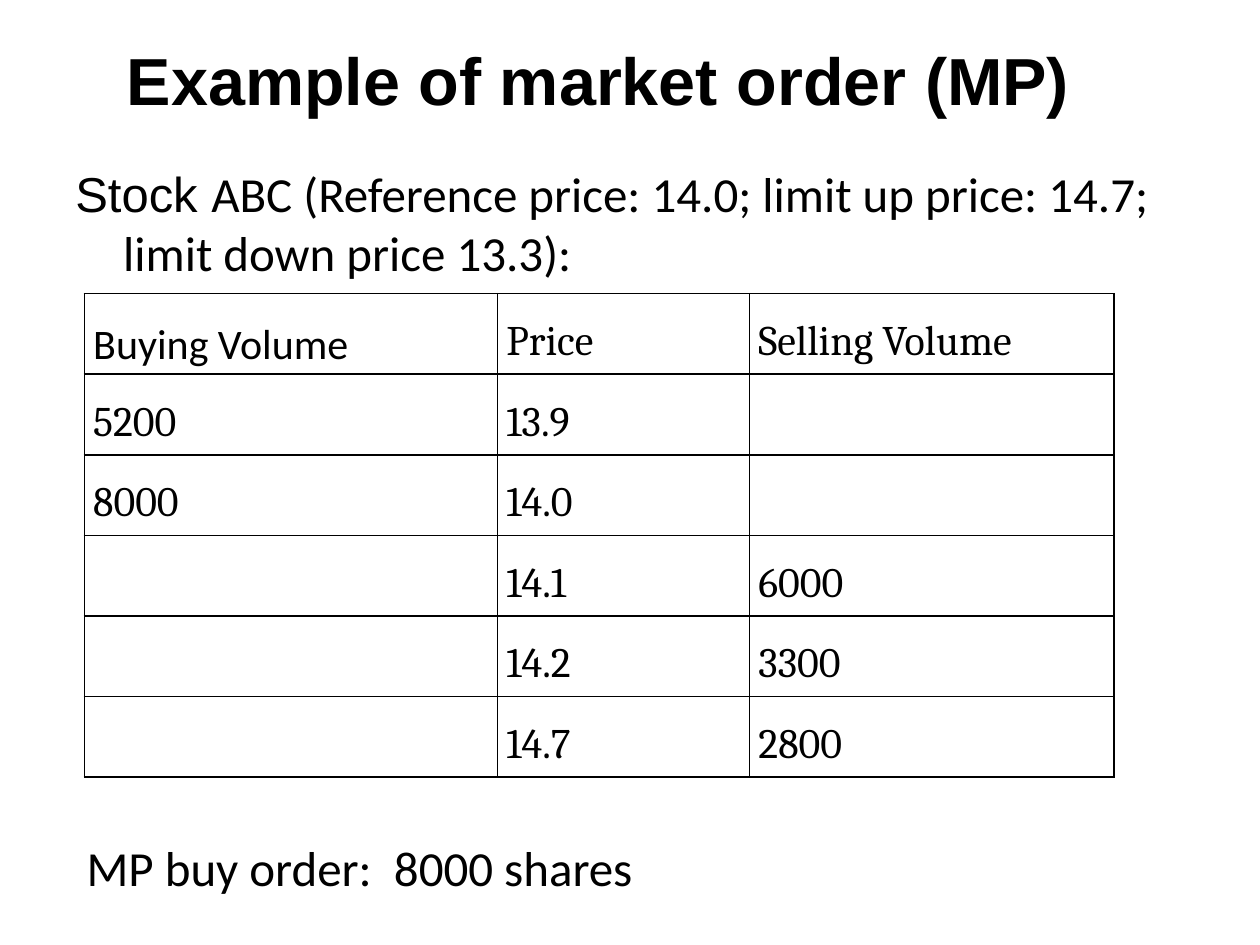
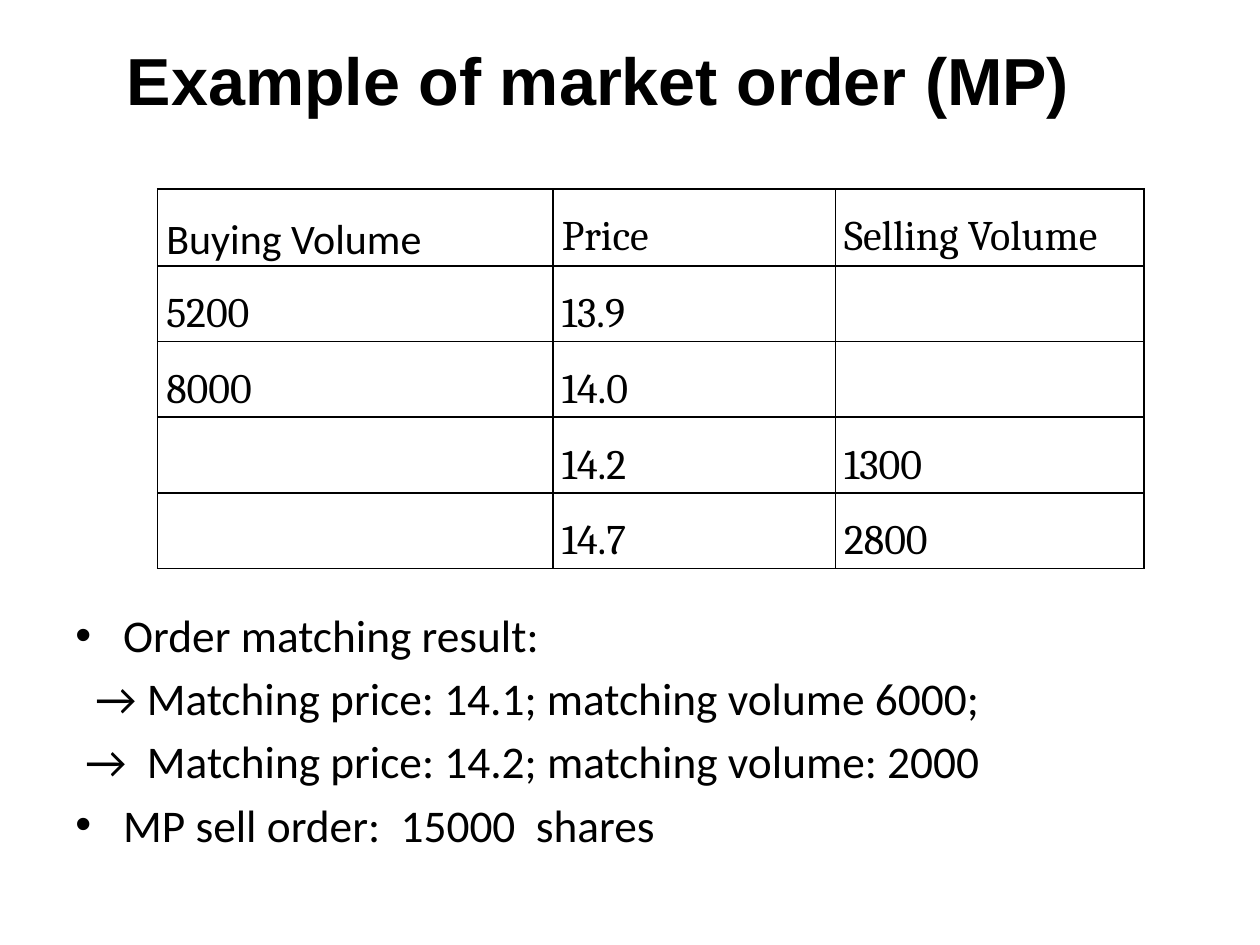
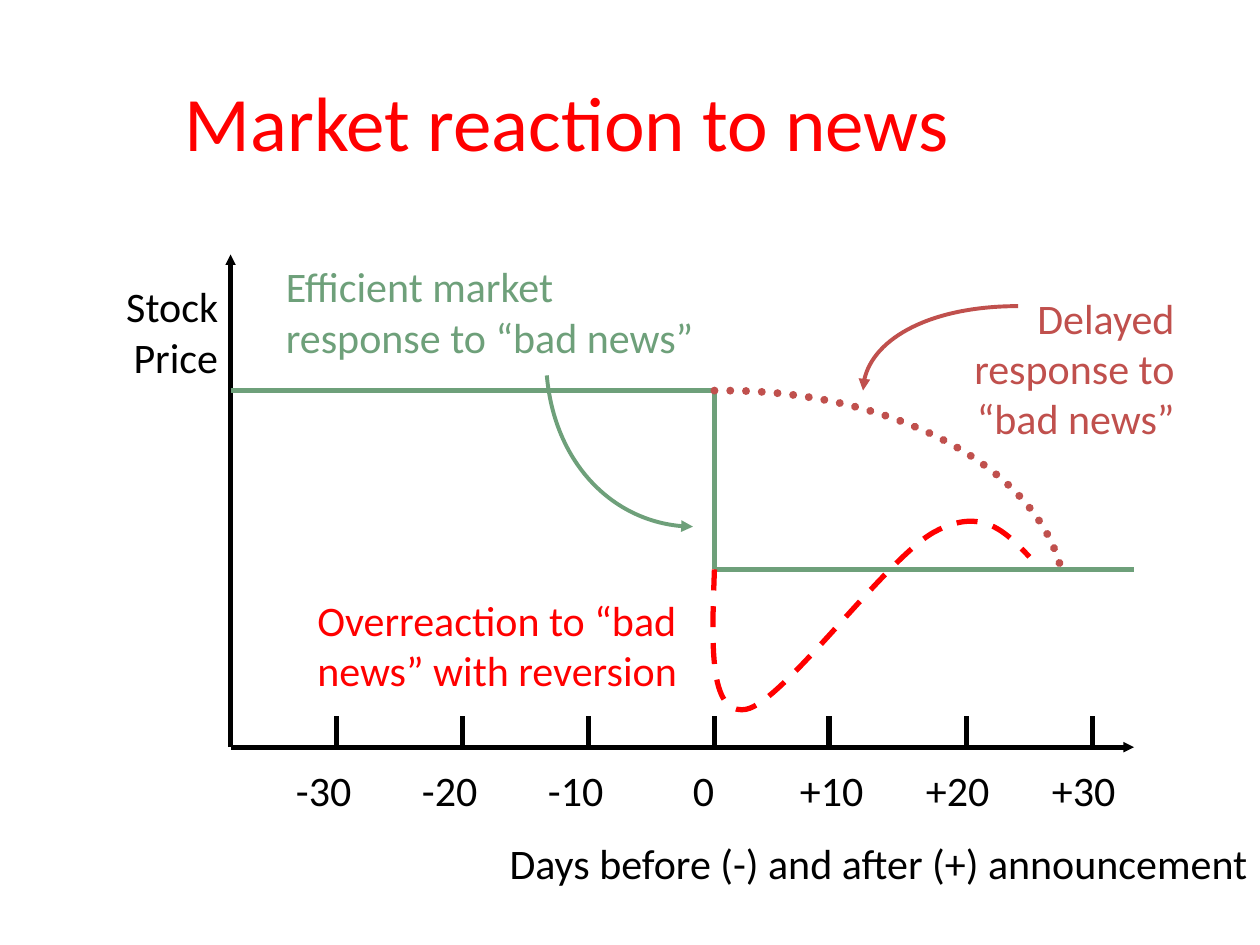
from collections import namedtuple

from lxml.etree import SubElement
from pptx import Presentation
from pptx.dml.color import RGBColor
from pptx.enum.dml import MSO_LINE
from pptx.enum.shapes import MSO_CONNECTOR
from pptx.enum.text import MSO_ANCHOR, PP_ALIGN
from pptx.oxml.ns import qn
from pptx.util import Inches, Pt

Box = namedtuple("Box", "left top width height")

BLACK = "000000"
RED = "FF0000"
GREEN = "6EA07A"
BRICK = "C0504D"
BODY_FONT = "Calibri"
TITLE_FONT = "Arial"
TABLE_FONT = "Cambria"
HANGING = 0.38
ORDER_TITLE_BOX = Box(0, 0, 9.5, 1.25)
HEADINGS = ("Buying Volume", "Price", "Selling Volume")


def color_of(hex_string):
    return RGBColor.from_string(hex_string)


def apply_format(target, values):
    for name, value in values.items():
        setattr(target, name, value)


def add_run(paragraph, text, size, color=BLACK, font=BODY_FONT, bold=False):
    run = paragraph.add_run()
    run.text = text
    apply_format(run.font, {"name": font, "size": Pt(size), "bold": bold})
    run.font.color.rgb = color_of(color)


def add_text_frame(slide, box, anchor=MSO_ANCHOR.TOP):
    frame = slide.shapes.add_textbox(*map(Inches, box)).text_frame
    apply_format(frame, {"word_wrap": True, "vertical_anchor": anchor})
    return frame


def add_label(slide, box, text, size=24, color=BLACK, align=PP_ALIGN.LEFT,
              anchor=MSO_ANCHOR.TOP, **font_values):
    paragraph = add_text_frame(slide, box, anchor).paragraphs[0]
    paragraph.alignment = align
    add_run(paragraph, text, size, color, **font_values)
    return paragraph


def add_title(slide, box, text, **font_values):
    add_label(slide, box, text, align=PP_ALIGN.CENTER, anchor=MSO_ANCHOR.MIDDLE, **font_values)


def add_order_title(slide):
    add_title(slide, ORDER_TITLE_BOX, "Example of market order (MP)",
              size=38, font=TITLE_FONT, bold=True)


def set_indent(paragraph, first_line=-HANGING, bullet=None):
    properties = paragraph._p.get_or_add_pPr()
    properties.set("marL", str(Inches(HANGING)))
    properties.set("indent", str(Inches(first_line)))
    if bullet:
        SubElement(properties, qn("a:buFont")).set("typeface", TITLE_FONT)
        SubElement(properties, qn("a:buChar")).set("char", bullet)


def add_cell_borders(cell):
    properties = cell._tc.get_or_add_tcPr()
    for side in ("a:lnL", "a:lnR", "a:lnT", "a:lnB"):
        line = SubElement(properties, qn(side), w=str(Pt(1)))
        fill = SubElement(line, qn("a:solidFill"))
        SubElement(fill, qn("a:srgbClr")).set("val", BLACK)


def add_order_table(slide, box, column_widths, header_height, orders):
    rows = [HEADINGS, *orders]
    frame = slide.shapes.add_table(len(rows), len(HEADINGS), *map(Inches, box))
    table = frame.table
    apply_format(table, {"first_row": False, "horz_banding": False})
    for column, width in zip(table.columns, column_widths):
        column.width = Inches(width)
    order_height = (box.height - header_height) / len(orders)
    for row_index, row in enumerate(rows):
        table.rows[row_index].height = Inches(order_height if row_index else header_height)
        for column_index, text in enumerate(row):
            cell = table.cell(row_index, column_index)
            apply_format(cell, {"margin_left": Inches(0.07), "margin_right": Inches(0.07),
                                "margin_top": 0, "margin_bottom": 0})
            add_cell_borders(cell)
            cell.fill.background()
            if text:
                paragraph = cell.text_frame.paragraphs[0]
                paragraph.line_spacing = 1.5
                is_corner = row_index == column_index == 0
                add_run(paragraph, text, 24, font=BODY_FONT if is_corner else TABLE_FONT)


def add_order_text(slide, box):
    frame = add_text_frame(slide, box)
    stock = frame.paragraphs[0]
    set_indent(stock)
    add_run(stock, "Stock ", 28, font=TITLE_FONT)
    add_run(stock, "ABC (Reference price: 14.0; limit up price: 14.7; "
                   "limit down price 13.3):", 28)
    order = frame.add_paragraph()
    order.space_before = Pt(318)
    set_indent(order, -0.29)
    add_run(order, "MP buy order:  8000 shares", 28)


def add_matching_result(slide, box):
    lines = [
        ("Order matching result:", -HANGING, "•"),
        ("→ Matching price: 14.1; matching volume 6000;", -0.22, None),
        ("→  Matching price: 14.2; matching volume: 2000", -0.3, None),
        ("MP sell order:  15000  shares", -HANGING, "•"),
    ]
    frame = add_text_frame(slide, box)
    frame.margin_top = Inches(3.07)
    for index, (text, first_line, bullet) in enumerate(lines):
        paragraph = frame.add_paragraph() if index else frame.paragraphs[0]
        if index:
            paragraph.space_before = Pt(5)
        set_indent(paragraph, first_line, bullet)
        add_run(paragraph, text, 25.9)


def style_line(shape, color, width, dash=None, arrow_size=None):
    shape.line.color.rgb = color_of(color)
    apply_format(shape.line, {"width": Pt(width), "dash_style": dash})
    line = shape._element.spPr.find(qn("a:ln"))
    if dash == MSO_LINE.ROUND_DOT:
        line.set("cap", "rnd")
    if arrow_size:
        SubElement(line, qn("a:tailEnd"), type="triangle", w=arrow_size, len=arrow_size)


def add_line(slide, start, end, color=BLACK, arrow_size=None):
    connector = slide.shapes.add_connector(
        MSO_CONNECTOR.STRAIGHT, *map(Inches, (*start, *end)))
    style_line(connector, color, 3, arrow_size=arrow_size)
    SubElement(connector._element.spPr, qn("a:effectLst"))


def bend_segments(shape):
    outline = next(shape._element.iter(qn("a:path")))
    segments = outline.findall(qn("a:lnTo"))
    for index in range(0, len(segments), 3):
        curve = SubElement(outline, qn("a:cubicBezTo"))
        for segment in segments[index:index + 3]:
            curve.append(segment[0])
            outline.remove(segment)


def add_curve(slide, points, color, width, dash=None, arrow_size=None):
    start, *controls = [(Inches(x), Inches(y)) for x, y in points]
    builder = slide.shapes.build_freeform(*start)
    builder.add_line_segments(controls, close=False)
    shape = builder.convert_to_shape()
    bend_segments(shape)
    shape.fill.background()
    shape.shadow.inherit = False
    style_line(shape, color, width, dash, arrow_size)


def add_axes(slide, box):
    def at(x, y):
        return box.left + x, box.top + y

    base = 3.93
    origin = at(1.33, base)
    add_line(slide, origin, at(1.33, 0.02), arrow_size="sm")
    add_line(slide, origin, at(8.5, base), arrow_size="sm")
    for tick in (2.17, 3.17, 4.17, 5.17, 6.08, 7.17, 8.17):
        add_line(slide, at(tick, base), at(tick, base - 0.25))
    add_label(slide, Box(*at(0, 0.18), 1.33, 0.9), "Stock Price", align=PP_ALIGN.RIGHT)
    days = add_label(slide, Box(*at(1.75, 4.02), 6.92, 0.5),
                     "-30\t-20\t-10\t0\t+10\t+20\t+30")
    stops = SubElement(days._p.get_or_add_pPr(), qn("a:tabLst"))
    for stop in (1, 2, 3.15, 4, 5, 6):
        SubElement(stops, qn("a:tab"), pos=str(Inches(stop)), algn="l")
    add_label(slide, Box(*at(3.33, 4.6), 6.17, 0.5),
              "Days before (-) and after (+) announcement", align=PP_ALIGN.RIGHT)


def add_reactions(slide, box):
    def at(x, y):
        return box.left + x, box.top + y

    def through(*points):
        return [at(*point) for point in points]

    event, high, low = 5.17, 1.1, 2.52
    steps = through((1.33, high), (event, high), (event, low), (8.5, low))
    for start, end in zip(steps, steps[1:]):
        add_line(slide, start, end, GREEN)
    add_label(slide, Box(*at(1.67, 0.02), 3.58, 0.9),
              "Efficient market response to “bad news”", color=GREEN)
    add_curve(slide, through((3.84, 0.98), (3.9, 1.67), (4.4, 2.18), (5, 2.18)),
              GREEN, 2.25, arrow_size="med")

    add_curve(slide, through((event, low), (5.15, 3.1), (5.12, 3.68), (5.42, 3.63),
                             (5.71, 3.58), (6.54, 2.42), (6.92, 2.22),
                             (7.29, 2.02), (7.48, 2.22), (7.67, 2.42)),
              RED, 3, MSO_LINE.DASH)
    add_label(slide, Box(*at(1.92, 2.67), 3.58, 0.9),
              "Overreaction to “bad news” with reversion", color=RED)

    add_curve(slide, through((event, high), (5.19, high), (5.22, high), (5.25, high),
                             (6.58, high), (7.71, 1.7), (7.92, 2.51)),
              BRICK, 4.5, MSO_LINE.ROUND_DOT)
    add_label(slide, Box(*at(6.5, 0.27), 2.42, 1.3),
              "Delayed response to “bad news”", color=BRICK, align=PP_ALIGN.RIGHT)
    add_curve(slide, through((7.58, 0.43), (6.9, 0.43), (6.35, 0.72), (6.35, high)),
              BRICK, 2.25, arrow_size="med")


def build_order_slide(slide):
    add_order_text(slide, Box(0.5, 1.25, 9, 5.75))
    add_order_title(slide)
    add_order_table(slide, Box(0.67, 2.33, 8.17, 3.84), (3.28, 2, 2.89), 0.64, [
        ("5200", "13.9", ""),
        ("8000", "14.0", ""),
        ("", "14.1", "6000"),
        ("", "14.2", "3300"),
        ("", "14.7", "2800"),
    ])


def build_matching_slide(slide):
    add_matching_result(slide, Box(0.5, 1.75, 9, 4.95))
    add_order_title(slide)
    add_order_table(slide, Box(1.25, 1.5, 7.83, 2.91), (3.14, 2.24, 2.45), 0.61, [
        ("5200", "13.9", ""),
        ("8000", "14.0", ""),
        ("", "14.2", "1300"),
        ("", "14.7", "2800"),
    ])


def build_reaction_slide(slide):
    add_title(slide, Box(0, 0.33, 9, 1.25), "Market reaction to news", size=44, color=RED)
    diagram = Box(0.5, 2, 9.5, 5.1)
    add_axes(slide, diagram)
    add_reactions(slide, diagram)


def main():
    presentation = Presentation()
    apply_format(presentation, {"slide_width": Inches(10), "slide_height": Inches(7.5)})
    for build in (build_order_slide, build_matching_slide, build_reaction_slide):
        build(presentation.slides.add_slide(presentation.slide_layouts[6]))
    presentation.save("out.pptx")


if __name__ == "__main__":
    main()
